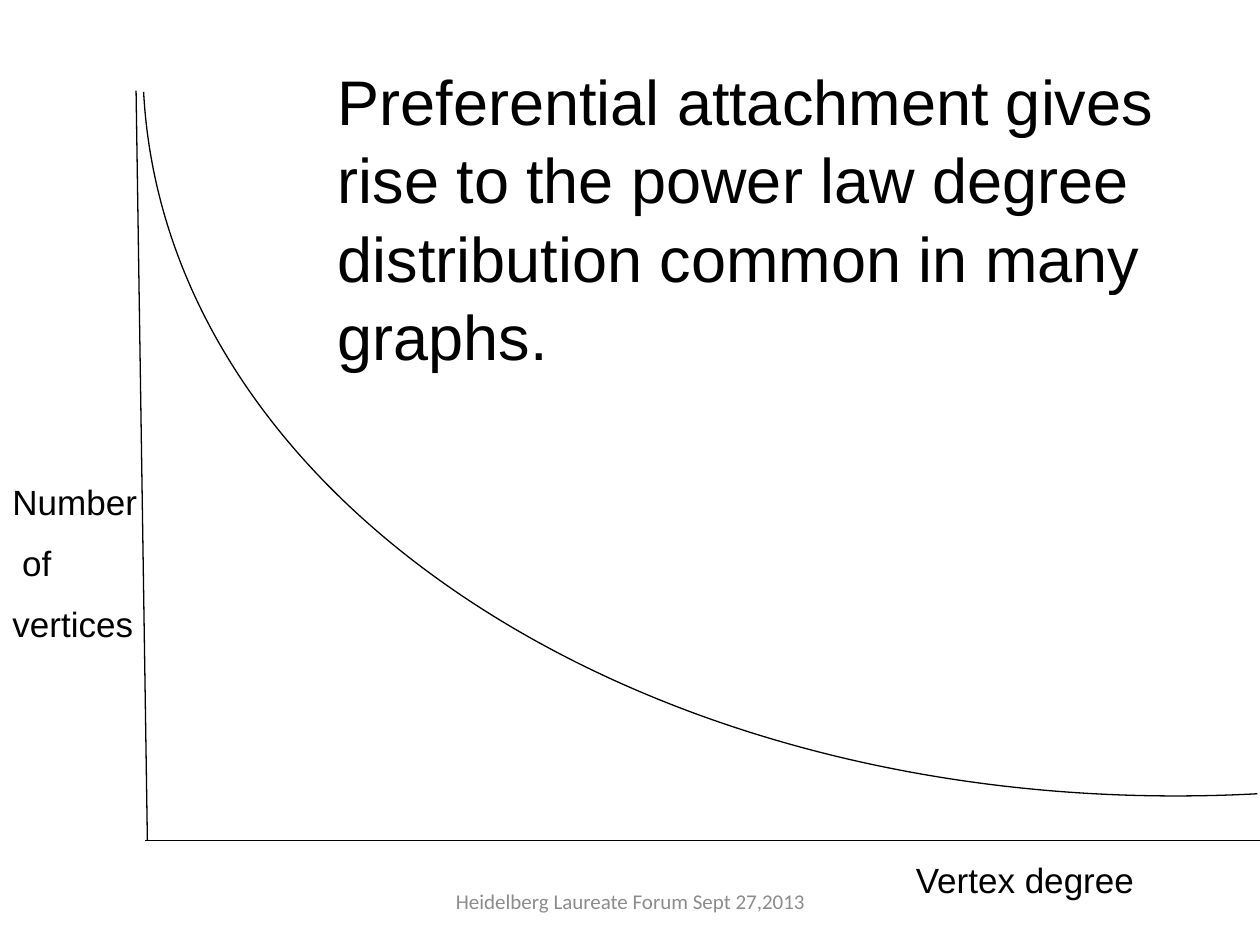
import pptx
import pptx.util
import pptx.dml.color
import pptx.enum.shapes
import pptx.enum.text
import pptx.oxml
import pptx.oxml.ns

Inches, Pt = pptx.util.Inches, pptx.util.Pt
Align = pptx.enum.text.PP_ALIGN
Anchor = pptx.enum.text.MSO_ANCHOR
BLACK = pptx.dml.color.RGBColor(0x00, 0x00, 0x00)
GRAY = pptx.dml.color.RGBColor(0x8C, 0x8C, 0x8C)
THIN = Pt(0.75)


def place(shape, box):
    shape.left, shape.top, shape.width, shape.height = map(Inches, box)


def write(shape, lines, size, font="Arial", color=BLACK, align=Align.LEFT,
          anchor=Anchor.TOP, pitch=1.04):
    """Fill a shape with one paragraph per line."""
    frame = shape.text_frame
    frame.word_wrap = True
    frame.auto_size = pptx.enum.text.MSO_AUTO_SIZE.NONE
    frame.vertical_anchor = anchor
    frame.text = "\n".join(lines)
    for para in frame.paragraphs:
        para.alignment = align
        para.line_spacing = pitch
        para.space_before = Pt(size / 2)
        para.font.size = Pt(size)
        para.font.name = font
        para.font.color.rgb = color


def add_label(slide, box, lines, size, **style):
    write(slide.shapes.add_textbox(*map(Inches, box)), lines, size, **style)


def add_title(slide, box):
    title = slide.shapes.title
    place(title, box)
    write(title, ["Preferential attachment gives rise to the power law "
                  "degree distribution common in many graphs."], 36)


def add_axis(slide, start, end):
    axis = slide.shapes.add_connector(
        pptx.enum.shapes.MSO_CONNECTOR.STRAIGHT, *map(Inches, start + end))
    axis.line.color.rgb = BLACK
    axis.line.width = THIN
    props = axis._element.spPr
    props.append(pptx.oxml.parse_xml(
        "<a:effectLst %s/>" % pptx.oxml.ns.nsdecls("a")))


def add_curve(slide, points):
    """Draw one cubic curve: start, two control points and end."""
    start, *bends = [(Inches(x), Inches(y)) for x, y in points]
    pen = slide.shapes.build_freeform(*start)
    pen.add_line_segments(bends, close=False)
    curve = pen.convert_to_shape()
    curve.shadow.inherit = False
    curve.fill.background()
    curve.line.color.rgb = BLACK
    curve.line.width = THIN
    # Merge the three straight segments into one Bezier segment
    steps = list(curve._element.iter(pptx.oxml.ns.qn("a:lnTo")))
    bezier = pptx.oxml.parse_xml(
        "<a:cubicBezTo %s/>" % pptx.oxml.ns.nsdecls("a"))
    steps[0].addprevious(bezier)
    for step in steps:
        bezier.append(step[0])
        step.getparent().remove(step)


def add_plot(slide, box):
    """Axes, power law curve and axis labels."""
    left, top, width, height = box
    right, base = left + width, top + height
    add_axis(slide, (left, top), (left + 0.09, base))
    add_axis(slide, (left + 0.07, base), (right, base))
    add_curve(slide, [(right - 0.02, base - 0.37), (right - 4.72, base - 0.12),
                      (left + 0.24, top + 3.34), (left + 0.06, top + 0.01)])
    add_label(slide, (0, 3.75, 1.92, 1.43), ["Number", " of", "vertices"], 20)
    add_label(slide, (7.17, base + 0.08, 2.83, 0.43), ["Vertex degree"], 20)


def add_footer(slide, box):
    add_label(slide, box, ["Heidelberg Laureate Forum Sept 27,2013"], 12,
              font="Calibri", color=GRAY, align=Align.CENTER,
              anchor=Anchor.MIDDLE, pitch=1.0)


def main():
    deck = pptx.Presentation()
    deck.slide_width, deck.slide_height = Inches(10), Inches(7.5)
    slide = deck.slides.add_slide(deck.slide_layouts[5])
    add_plot(slide, (1.08, 0.72, 8.92, 5.95))
    add_title(slide, (2.58, 0.42, 7.42, 2.5))
    add_footer(slide, (3.42, 6.95, 3.17, 0.4))
    deck.save("out.pptx")


if __name__ == "__main__":
    main()
